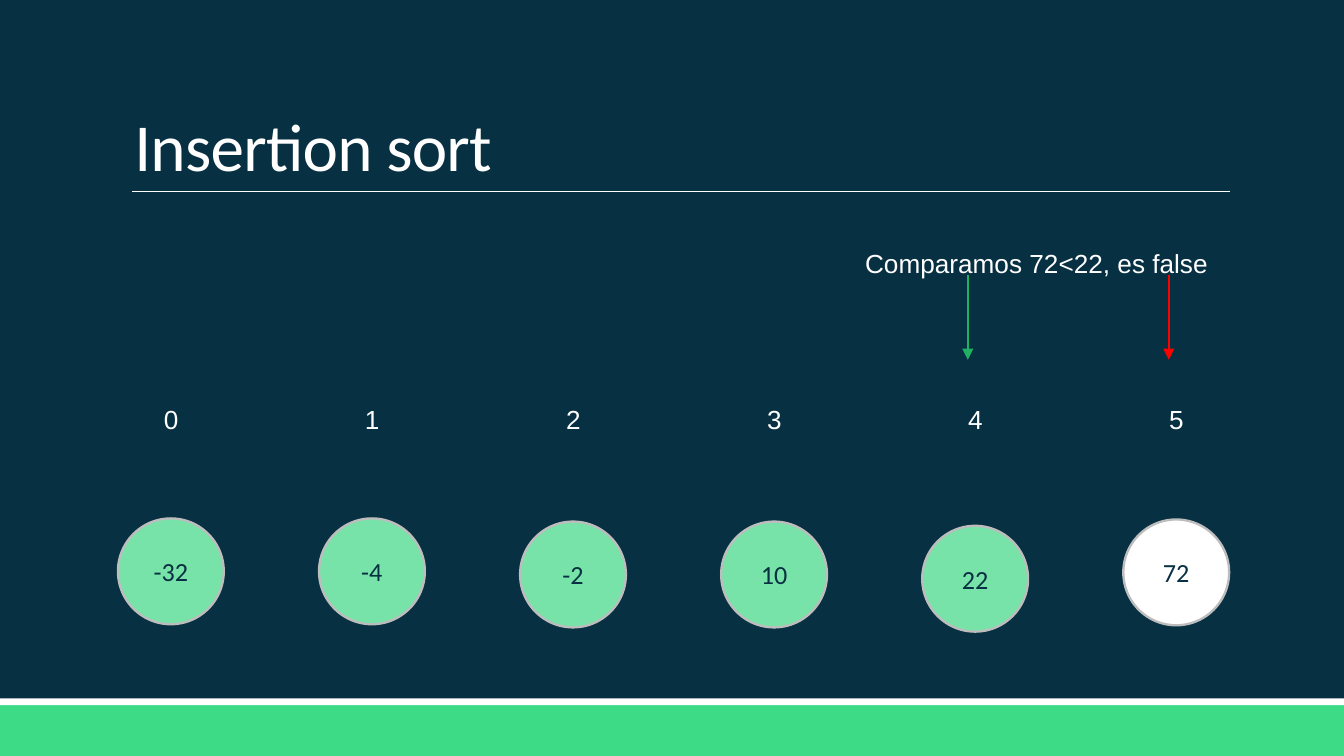
from pptx import Presentation
from pptx.dml.color import RGBColor
from pptx.enum.shapes import MSO_CONNECTOR, MSO_SHAPE
from pptx.enum.text import MSO_ANCHOR, MSO_AUTO_SIZE, PP_ALIGN
from pptx.oxml.ns import qn
from pptx.util import Cm, Pt
from lxml.etree import SubElement

INK = {
    "night": "073042", "green": "3DDB85", "mint": "78E3A8",
    "white": "FFFFFF", "grey": "BDBDBD", "red": "FF0000", "leaf": "21B163",
}
WIDE, HIGH = 25.4, 14.29
STEP = 3.8
BALL = 2.0


def tint(name):
    """Return the named colour."""
    return RGBColor.from_string(INK[name])


def style(para, size, face, ink, align=PP_ALIGN.LEFT):
    """Set the font and alignment of a paragraph."""
    para.alignment = align
    para.font.size = Pt(size)
    para.font.name = face
    para.font.color.rgb = tint(ink)


def solid(slide, kind, box, fill, edge=None):
    """Add a filled shape, outlined when an edge colour is given."""
    shape = slide.shapes.add_shape(kind, *map(Cm, box))
    shape.shadow.inherit = False
    shape.fill.solid()
    shape.fill.fore_color.rgb = tint(fill)
    if edge:
        shape.line.color.rgb = tint(edge)
        shape.line.width = Pt(1.25)
    else:
        shape.line.fill.background()
    return shape


def rule(slide, ends, ink, width, arrow=False):
    """Add a straight line, with an arrowhead if asked."""
    line = slide.shapes.add_connector(MSO_CONNECTOR.STRAIGHT, *map(Cm, ends))
    line.line.color.rgb = tint(ink)
    line.line.width = Pt(width)
    props = line._element.spPr
    if arrow:
        SubElement(props.find(qn("a:ln")), qn("a:tailEnd"), type="triangle")
    SubElement(props, qn("a:effectLst"))


def label(slide, box, text, align=PP_ALIGN.LEFT):
    """Add a text box that grows with its text."""
    frame = slide.shapes.add_textbox(*map(Cm, box)).text_frame
    frame.word_wrap = True
    frame.auto_size = MSO_AUTO_SIZE.SHAPE_TO_FIT_TEXT
    frame.text = text
    style(frame.paragraphs[0], 14, "Arial", "white", align)


def footer(slide, top):
    """Draw the green band with its white stripe."""
    solid(slide, MSO_SHAPE.RECTANGLE, (0, top + 0.13, WIDE, HIGH - top - 0.13), "green")
    solid(slide, MSO_SHAPE.RECTANGLE, (0, top, WIDE, 0.13), "white")


def header(slide, left, top, width, height, text):
    """Draw the title above its rule."""
    base = top + height
    rule(slide, (left + 0.2, base, left + width, base), "white", 0.5)
    box = slide.shapes.add_textbox(*map(Cm, (left, top, width, height)))
    frame = box.text_frame
    frame.word_wrap = True
    frame.vertical_anchor = MSO_ANCHOR.BOTTOM
    frame.text = text
    para = frame.paragraphs[0]
    para.line_spacing = 0.85
    style(para, 36, "Calibri", "white")
    para.runs[0]._r.get_or_add_rPr().set("spc", "-40")


def cells(slide, left, top, items):
    """Draw the numbered row of values, each with its own drop and fill."""
    for spot, (value, drop, fill) in enumerate(items):
        x = left + spot * STEP
        ball = solid(slide, MSO_SHAPE.OVAL, (x, top + 2.3 + drop, BALL, BALL), fill, "grey")
        frame = ball.text_frame
        frame.vertical_anchor = MSO_ANCHOR.MIDDLE
        frame.text = str(value)
        style(frame.paragraphs[0], 14, "Calibri", "night", PP_ALIGN.CENTER)
        label(slide, (x + 0.41, top, 1.19, 0.86), str(spot), PP_ALIGN.CENTER)


def compare(slide, left, top, text):
    """Draw the remark and the arrows to the two compared cells."""
    label(slide, (left, top, 7.14, 0.86), text)
    for shift, ink in ((2.19 + STEP, "red"), (2.19, "leaf")):
        x = left + shift
        rule(slide, (x, top + 0.65, x, top + 2.25), ink, 1, True)


def build():
    """Build the slide and save it."""
    deck = Presentation()
    deck.slide_width, deck.slide_height = Cm(WIDE), Cm(HIGH)
    slide = deck.slides.add_slide(deck.slide_layouts[6])
    slide.background.fill.solid()
    slide.background.fill.fore_color.rgb = tint("night")
    footer(slide, 13.2)
    header(slide, 2.29, 0.6, 20.95, 3.02, "Insertion sort")
    items = [
        (-32, 0, "mint"), (-4, 0, "mint"), (-2, 0.06, "mint"),
        (10, 0.06, "mint"), (22, 0.14, "mint"), (72, 0.02, "white"),
    ]
    cells(slide, 2.23, 7.5, items)
    compare(slide, 16.1, 4.55, "Comparamos 72<22, es false")
    deck.save("out.pptx")


build()
